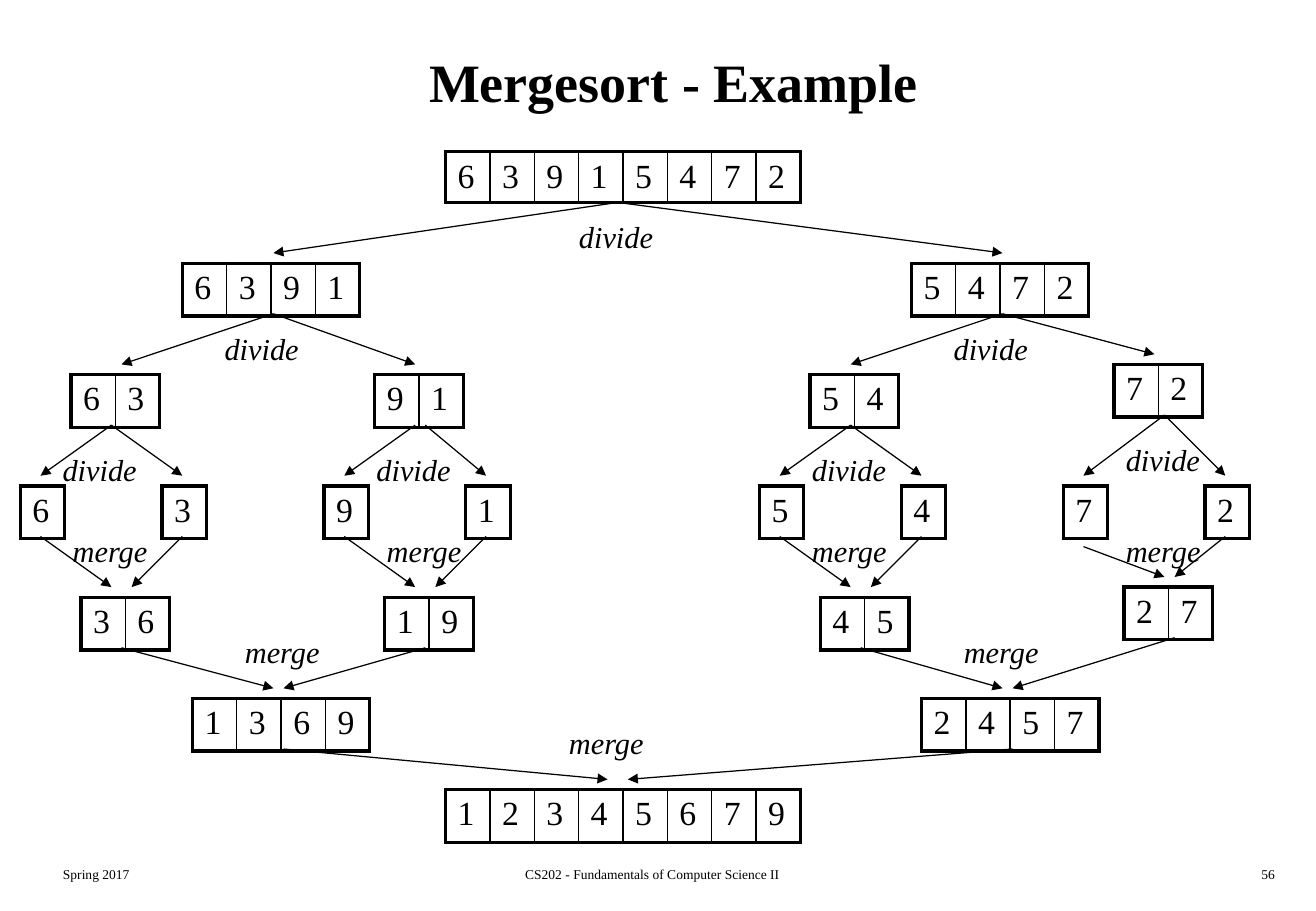
from lxml import etree
from pptx import Presentation
from pptx.dml.color import RGBColor
from pptx.enum.shapes import MSO_CONNECTOR
from pptx.enum.text import MSO_ANCHOR, MSO_AUTO_SIZE, PP_ALIGN
from pptx.oxml.ns import qn
from pptx.util import Inches, Pt

STRAIGHT = MSO_CONNECTOR.STRAIGHT
MIDDLE = MSO_ANCHOR.MIDDLE
FIT_SHAPE = MSO_AUTO_SIZE.SHAPE_TO_FIT_TEXT
LEFT, CENTER, RIGHT = PP_ALIGN.LEFT, PP_ALIGN.CENTER, PP_ALIGN.RIGHT
BLACK = RGBColor(0x00, 0x00, 0x00)
FONT = "Times New Roman"
CELL_WIDTH = Inches(2.92) // 8
CELL_HEIGHT = Inches(0.42)
OUTER_BORDER, INNER_BORDER = Pt(2.25), Pt(1)
LABEL_WIDTHS = {"divide": 12, "merge": 10}


def grid(units):
    return Inches(units / 12)


def format_paragraph(paragraph, size, alignment=LEFT, bold=False, italic=False):
    paragraph.alignment = alignment
    paragraph.font.name = FONT
    paragraph.font.size = Pt(size)
    paragraph.font.bold = bold
    paragraph.font.italic = italic
    paragraph.font.color.rgb = BLACK


def add_border(cell, side, width):
    properties = cell._tc.get_or_add_tcPr()
    line = etree.SubElement(properties, qn(f"a:ln{side}"), w=str(width))
    fill = etree.SubElement(line, qn("a:solidFill"))
    etree.SubElement(fill, qn("a:srgbClr"), val=str(BLACK))


def add_array(slide, left, top, digits):
    count = len(digits)
    table = slide.shapes.add_table(
        1, count, grid(left), grid(top), CELL_WIDTH * count, CELL_HEIGHT
    ).table
    table.first_row = table.horz_banding = False
    for index, digit in enumerate(digits):
        table.columns[index].width = CELL_WIDTH
        cell = table.cell(0, index)
        cell.text = digit
        format_paragraph(cell.text_frame.paragraphs[0], 20)
        add_border(cell, "L", INNER_BORDER if index else OUTER_BORDER)
        add_border(cell, "R", INNER_BORDER if index < count - 1 else OUTER_BORDER)
        add_border(cell, "T", OUTER_BORDER)
        add_border(cell, "B", OUTER_BORDER)
        cell.fill.background()


def add_arrow(slide, start, end):
    connector = slide.shapes.add_connector(STRAIGHT, *map(grid, start + end))
    connector.line.color.rgb = BLACK
    connector.line.width = Pt(0.75)
    etree.SubElement(connector.line._get_or_add_ln(), qn("a:tailEnd"), type="triangle")
    etree.SubElement(connector._element.spPr, qn("a:effectLst"))


def add_text(slide, left, top, width, height, text, size, alignment=LEFT, italic=False):
    box = slide.shapes.add_textbox(left, top, width, height)
    frame = box.text_frame
    frame.word_wrap = True
    frame.text = text
    format_paragraph(frame.paragraphs[0], size, alignment, italic=italic)
    return box


def add_step_label(slide, left, top, text):
    box = add_text(slide, grid(left), grid(top), grid(LABEL_WIDTHS[text]),
                   Inches(0.4), text, 18, italic=True)
    box.text_frame.auto_size = FIT_SHAPE


def add_pair_sort(slide, left, digits, lift, peaks, merge_start, merge_tip, labels):
    add_array(slide, left + 5, 37 - lift, digits)
    for offset, digit, peak in zip((0, 14), digits, peaks):
        add_array(slide, left + offset, 48, digit)
        add_arrow(slide, (left + peak, 42 - lift), (left + offset + 2, 47))
    add_arrow(slide, (left + 2, merge_start), (left + merge_tip, 58 - lift))
    add_arrow(slide, (left + 16, 53), (left + 11, 58 - lift))
    add_array(slide, left + 6, 59 - lift, sorted(digits))
    add_step_label(slide, left + labels[0], 44 - lift, "divide")
    add_step_label(slide, left + labels[1], 52, "merge")


def add_half_sort(slide, left, digits, lift, divide_right, merge_starts, merge_label):
    add_array(slide, left, 26, digits)
    add_arrow(slide, (left + 9, 31), (left - 6, 36))
    add_arrow(slide, (left + 9, 31), (left + divide_right, 36 - lift))
    add_step_label(slide, left + 3, 32, "divide")
    add_arrow(slide, (left + merge_starts[0], 64), (left + 9, 68))
    add_arrow(slide, (left + merge_starts[1], 64 - lift), (left + 10, 68))
    add_step_label(slide, left + merge_label, 62, "merge")
    add_array(slide, left + 1, 69, sorted(digits))


def add_whole_sort(slide, left, digits):
    add_array(slide, left, 15, digits)
    add_step_label(slide, left + 12, 21, "divide")
    for half_center, merge_tip in ((27, 60), (99, 62)):
        add_arrow(slide, (left + 17, 20), (half_center, 25))
        add_arrow(slide, (half_center + 1, 74), (merge_tip, 77))
    add_step_label(slide, left + 11, 71, "merge")
    add_array(slide, left, 78, sorted(digits))


def add_title(slide, left, top, width, height):
    title = slide.shapes.title
    title.left, title.top, title.width, title.height = left, top, width, height
    title.text_frame.text = "Mergesort - Example"
    title.text_frame.vertical_anchor = MIDDLE
    format_paragraph(title.text_frame.paragraphs[0], 32, CENTER, bold=True)


def add_footer(slide, top, height):
    for left, width, text, alignment in (
        (0.42, 2.26, "Spring 2017", LEFT),
        (3.34, 4.06, "CS202 - Fundamentals of Computer Science II", CENTER),
        (8.33, 2.26, "56", RIGHT),
    ):
        add_text(slide, Inches(left), top, Inches(width), height, text, 8, alignment)


def main():
    presentation = Presentation()
    presentation.slide_width = Inches(10.83)
    presentation.slide_height = Inches(7.5)
    slide = presentation.slides.add_slide(presentation.slide_layouts[5])
    add_title(slide, Inches(0.42), Inches(0.17), Inches(10.25), Inches(1))
    add_whole_sort(slide, 44, "63915472")
    add_half_sort(slide, 18, "6391", 0, 23, (-6, 24), 5)
    add_half_sort(slide, 90, "5472", 1, 24, (-5, 26), 4)
    add_pair_sort(slide, 2, "63", 0, (9, 9), 53, 9, (3, 4))
    add_pair_sort(slide, 32, "91", 0, (9, 10), 53, 9, (4, 5))
    add_pair_sort(slide, 75, "54", 0, (9, 9), 53, 9, (4, 4))
    add_pair_sort(slide, 105, "72", 1, (10, 10), 54, 10, (5, 5))
    add_footer(slide, Inches(7.08), Inches(0.25))
    presentation.save("out.pptx")


if __name__ == "__main__":
    main()
